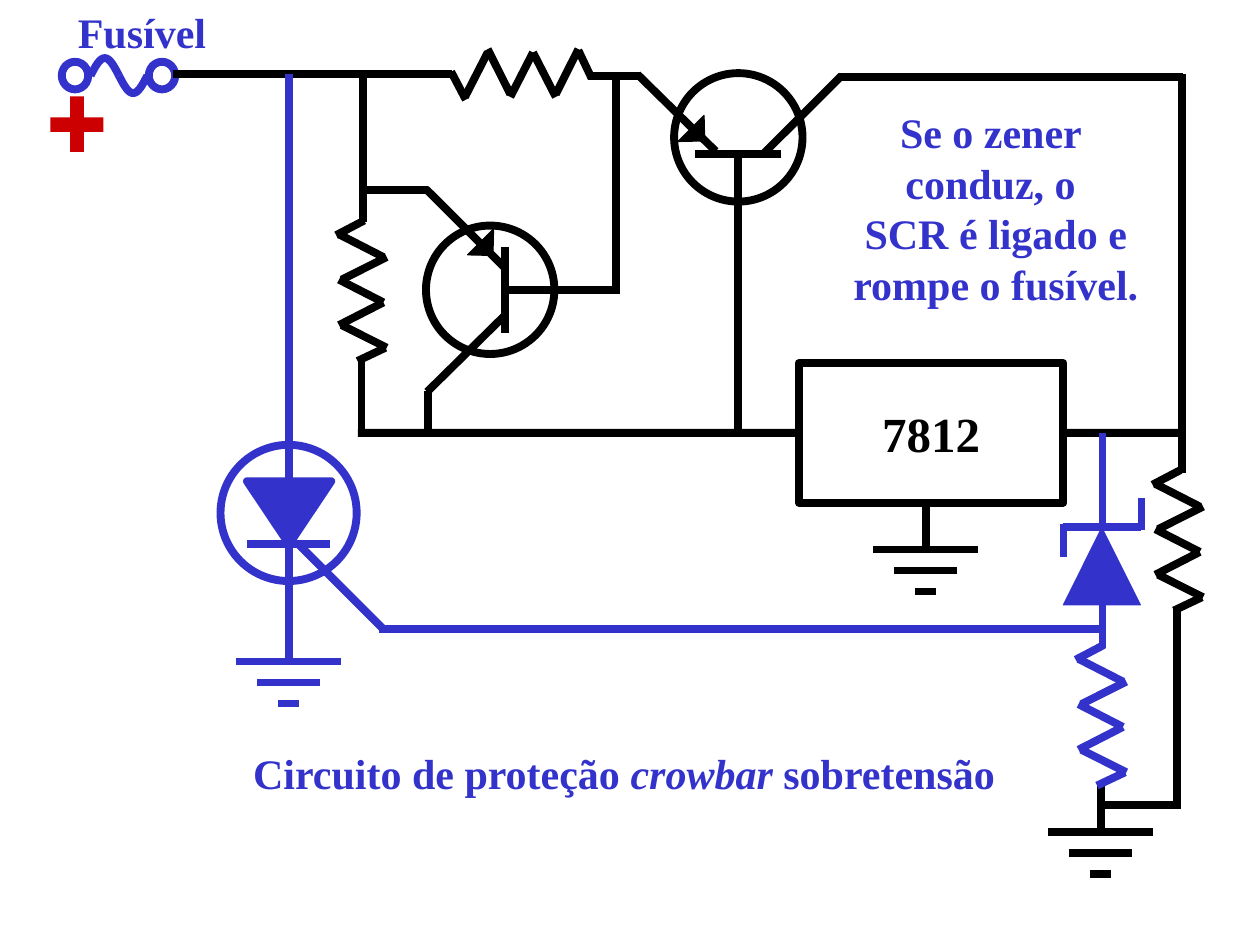
from math import pi, sin

from lxml.etree import SubElement
from pptx import Presentation
from pptx.dml.color import RGBColor
from pptx.enum.shapes import MSO_CONNECTOR, MSO_SHAPE
from pptx.enum.text import MSO_ANCHOR, MSO_AUTO_SIZE, PP_ALIGN
from pptx.oxml.ns import qn
from pptx.util import Pt

BLACK, BLUE, RED = "000000", "3333CC", "CC0000"
STROKE = 4.5

deck = Presentation()
deck.slide_width, deck.slide_height = Pt(720), Pt(540)
circuit = deck.slides.add_slide(deck.slide_layouts[6]).shapes


def paint(part, fill=None, line=None, width=STROKE):
    """Set fill, outline and shadow of a shape; None means no paint."""
    part.shadow.inherit = False
    for paint_format, colour in ((part.fill, fill), (part.line.fill, line)):
        if colour:
            paint_format.solid()
            paint_format.fore_color.rgb = RGBColor.from_string(colour)
        else:
            paint_format.background()
    if line:
        part.line.width = Pt(width)


def wire(x1, y1, x2, y2, colour):
    link = circuit.add_connector(MSO_CONNECTOR.STRAIGHT, Pt(x1), Pt(y1), Pt(x2), Pt(y2))
    link.line.color.rgb = RGBColor.from_string(colour)
    link.line.width = Pt(STROKE)
    SubElement(link._element.spPr, qn("a:effectLst"))
    return link


# Transistors, regulator, SCR, zener, fuse ends and plus sign
symbols = [
    # preset, left, top, width, height, rotation, fill, line, line width
    (MSO_SHAPE.RIGHT_TRIANGLE, 387.7, 65.9, 14.4, 15.1, 268.7, BLACK, BLACK, 0.75),
    (MSO_SHAPE.OVAL, 385.2, 41.8, 73.4, 73.4, 0, None, BLACK, STROKE),
    (MSO_SHAPE.RIGHT_TRIANGLE, 267.1, 131, 15.1, 14.4, 271.3, BLACK, BLACK, 0.75),
    (MSO_SHAPE.OVAL, 243.4, 128.9, 73.4, 73.4, 0, None, BLACK, STROKE),
    (MSO_SHAPE.RECTANGLE, 28.8, 67, 30.4, 8.3, 0, RED, None, 0),
    (MSO_SHAPE.RECTANGLE, 28.1, 67, 31.7, 7.9, 90, RED, None, 0),
    (MSO_SHAPE.OVAL, 35.3, 35.3, 15.1, 15.8, 0, None, BLUE, STROKE),
    (MSO_SHAPE.OVAL, 85, 35.3, 15.1, 15.8, 0, None, BLUE, STROKE),
    (MSO_SHAPE.ISOSCELES_TRIANGLE, 607.7, 301.7, 43.9, 43.9, 0, BLUE, BLUE, 0.75),
    (MSO_SHAPE.ISOSCELES_TRIANGLE, 141.1, 275, 48.2, 36, 180, BLUE, BLUE, STROKE),
    (MSO_SHAPE.OVAL, 126, 254.2, 77.8, 77.8, 0, None, BLUE, STROKE),
]
for preset, left, top, width, height, rotation, fill, line, line_width in symbols:
    symbol = circuit.add_shape(preset, Pt(left), Pt(top), Pt(width), Pt(height))
    symbol.rotation = rotation
    paint(symbol, fill, line, line_width)

regulator = circuit.add_shape(MSO_SHAPE.RECTANGLE, Pt(456.5), Pt(207.4), Pt(151.2), Pt(79.9))
paint(regulator, line=BLACK)
wire(204.5, 247.4, 456.5, 247.4, BLACK).end_connect(regulator, 1)
wire(607.7, 247.4, 675.4, 247.4, BLACK).begin_connect(regulator, 3)

wires = {
    BLACK: [
        # pass transistor
        (409, 86.4, 364.3, 42.5), (446.4, 87.8, 397.4, 87.8),
        (436.3, 87.8, 481, 43.2), (421.9, 87.1, 421.9, 248.4),
        # current-limiting transistor
        (288.7, 180, 244.1, 223.9), (352.1, 45.4, 352.1, 167.8),
        (288, 152.6, 243.4, 108), (288.7, 190.1, 288.7, 141.1),
        (288, 165.6, 352.1, 165.6), (244.8, 108.7, 205.9, 108.7),
        (207.4, 126.7, 207.4, 41), (244.8, 223.2, 244.8, 247.7),
        # input and output rails
        (672.5, 347, 672.5, 461.5), (675.4, 270, 675.4, 42.5),
        (479.5, 43.9, 676.1, 43.9), (529.2, 289.4, 529.2, 315.4),
        (365.8, 43.2, 336.2, 43.2), (258.5, 42.5, 98.6, 42.5),
        (206.6, 204.5, 206.6, 248.4), (629.3, 447.8, 629.3, 475.2),
        (630.7, 460.1, 674.6, 460.1),
    ],
    BLUE: [
        # zener
        (630, 370.1, 630, 335.5), (607.7, 299.5, 607.7, 318.2),
        (652.3, 303.1, 652.3, 284.4), (607.7, 301, 652.3, 301),
        (630, 299.5, 630, 247.7),
        # SCR and its gate
        (164.9, 42.5, 164.9, 288), (188.6, 311, 141.1, 311),
        (164.9, 311, 164.9, 377.3), (170.6, 311, 218.9, 359.3),
        (630.7, 359.3, 216.7, 359.3),
    ],
}
for colour, runs in wires.items():
    for run in runs:
        wire(*run, colour)

# Zigzag strokes of a resistor as (across, along) pairs
zigzag = [
    (14.4, 0, -1.6, 8.4), (0, 7.9, 25.4, 20.9), (27.3, 20.9, 1.6, 33.8),
    (0, 33.8, 25.4, 46.8), (25.4, 46.8, 0, 59.8), (1.6, 59.8, 27.3, 72.7),
    (26.6, 72.7, 10.6, 80.3),
]
for x, y, colour in ((660.2, 268.6, BLACK), (193.7, 126, BLACK), (616.3, 368.6, BLUE)):
    for across1, along1, across2, along2 in zigzag:
        wire(x + across1, y + along1, x + across2, y + along2, colour)
sense_x, sense_y = 257.8, 55.4
for across1, along1, across2, along2 in zigzag:
    wire(sense_x + along1, sense_y - across1, sense_x + along2, sense_y - across2, BLACK)

# Grounds: three bars, each shorter than the one above
for centre, top, colour in ((528.9, 314, BLACK), (628.9, 475.2, BLACK), (164.9, 378, BLUE)):
    for level, half in enumerate((30, 18, 6)):
        wire(centre - half, top + 12 * level, centre + half, top + 12 * level, colour)

# Fuse element: one half wave up, one down
HALF_WAVE, CREST, STEPS = 16.2, 10, 16
for start, side in ((51.8, -1), (68, 1)):
    wave = [(Pt(start + HALF_WAVE * step / STEPS),
             Pt(43.2 + side * CREST * sin(pi * step / STEPS))) for step in range(STEPS + 1)]
    outline = circuit.build_freeform(*wave[0])
    outline.add_line_segments(wave[1:], close=False)
    paint(outline.convert_to_shape(), line=BLUE)

caption = circuit.add_textbox(Pt(137.5), Pt(423.4), Pt(445.7), Pt(36))
fuse_label = circuit.add_textbox(Pt(37.4), Pt(0), Pt(87.8), Pt(36))
explanation = circuit.add_textbox(Pt(480.2), Pt(57.6), Pt(177.8), Pt(122.4))
for label in (caption, fuse_label, explanation):
    label.text_frame.word_wrap = False
    label.text_frame.auto_size = MSO_AUTO_SIZE.SHAPE_TO_FIT_TEXT
regulator.text_frame.vertical_anchor = MSO_ANCHOR.MIDDLE

lettering = {"name": "Times New Roman", "bold": True}
wording = [
    (regulator, PP_ALIGN.CENTER, 28, BLACK, [["7812"]]),
    (caption, PP_ALIGN.LEFT, 24, BLUE, [["Circuito de proteção ", "crowbar", " sobretensão"]]),
    (fuse_label, PP_ALIGN.LEFT, 24, BLUE, [["Fusível"]]),
    (explanation, PP_ALIGN.CENTER, 24, BLUE,
     [["Se o zener "], ["conduz, o "], ["SCR é ligado e"], ["rompe o fusível."]]),
]
for holder, alignment, size, colour, lines in wording:
    frame = holder.text_frame
    for number, pieces in enumerate(lines):
        paragraph = frame.add_paragraph() if number else frame.paragraphs[0]
        paragraph.alignment = alignment
        for piece in pieces:
            run = paragraph.add_run()
            run.text = piece
            looks = {**lettering, "size": Pt(size), "italic": piece == "crowbar"}
            for attribute, value in looks.items():
                setattr(run.font, attribute, value)
            run.font.color.rgb = RGBColor.from_string(colour)

deck.save("out.pptx")
